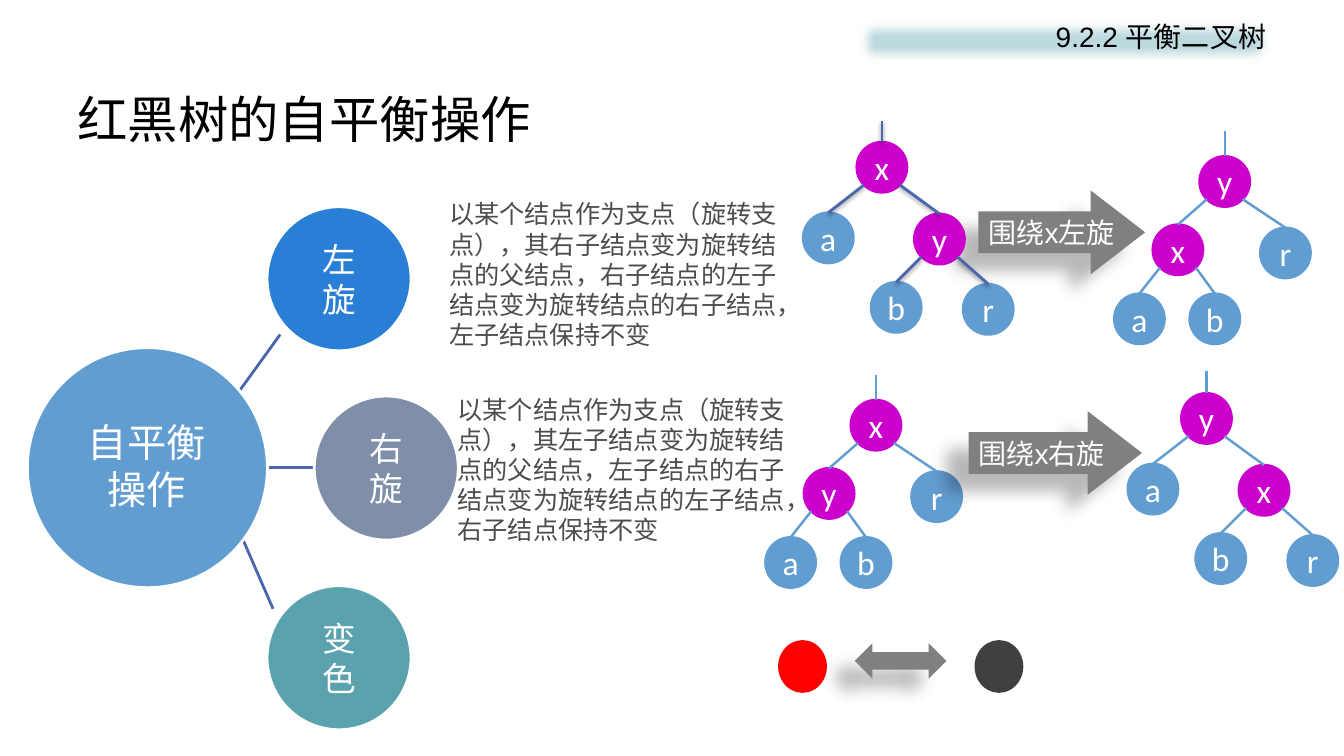
from lxml import etree
from pptx import Presentation
from pptx.dml.color import RGBColor
from pptx.enum import shapes, text
from pptx.util import Cm, Pt

A = "http://schemas.openxmlformats.org/drawingml/2006/main"
CJK = "Noto Sans CJK SC"
BLACK = RGBColor(0x00, 0x00, 0x00)
WHITE = RGBColor(0xFF, 0xFF, 0xFF)
GREY_TEXT = RGBColor(0x4D, 0x4D, 0x4D)
GREY = RGBColor(0x80, 0x80, 0x80)
DARK = RGBColor(0x40, 0x40, 0x40)
RED = RGBColor(0xFF, 0x00, 0x00)
PALE = RGBColor(0xBD, 0xDA, 0xDF)
NAVY = RGBColor(0x4A, 0x66, 0xAC)
SKY = RGBColor(0x62, 0x9D, 0xD1)
BLUE = RGBColor(0x29, 0x7F, 0xD5)
SLATE = RGBColor(0x7F, 0x8F, 0xA9)
TEAL = RGBColor(0x5A, 0xA2, 0xAE)
PURPLE = RGBColor(0xCC, 0x00, 0xCC)

SHADOW = ('<a:outerShdw blurRad="{}" dist="{}" dir="{}" rotWithShape="0">'
          '<a:srgbClr val="000000"><a:alpha val="{}"/></a:srgbClr></a:outerShdw>')
ARROW_SHADOW = SHADOW.format(150000, 250000, 8460000, 28000)
EDGE_SHADOW = SHADOW.format(40000, 20000, 5400000, 38000)
SOFT_EDGE = '<a:softEdge rad="112500"/>'

ALIGN = text.PP_ALIGN
ANCHOR = text.MSO_ANCHOR
SHAPE = shapes.MSO_SHAPE


def write(sp, words, size, color=WHITE, font="Arial", align=ALIGN.LEFT,
          anchor=ANCHOR.TOP, wrap=True, inset=None):
    tf = sp.text_frame
    tf.word_wrap = wrap
    tf.vertical_anchor = anchor
    if inset is not None:
        tf.margin_left = tf.margin_right = tf.margin_top = tf.margin_bottom = inset
    p = tf.paragraphs[0]
    p.alignment = align
    p.line_spacing = Pt(1.2 * size)
    r = p.add_run()
    r.text = words
    r.font.size = Pt(size)
    r.font.name = font
    r.font.color.rgb = color
    etree.SubElement(r.font._element, f"{{{A}}}ea", typeface=CJK)


def paint(sp, fill=None, line=None, width=2, effect=""):
    """Set fill, outline and effect; a connector takes no fill."""
    if fill is not None:
        sp.fill.solid()
        sp.fill.fore_color.rgb = fill
    if line is None:
        sp.line.fill.background()
    else:
        sp.line.color.rgb = line
        sp.line.width = Pt(width)
    sp._element.spPr.append(
        etree.fromstring(f'<a:effectLst xmlns:a="{A}">{effect}</a:effectLst>'))


prs = Presentation()
prs.slide_width, prs.slide_height = Cm(33.87), Cm(19.05)
s = prs.slides.add_slide(prs.slide_layouts[6])

title = s.shapes.add_textbox(Cm(1.7), Cm(2.03), Cm(30.48), Cm(1.91))
write(title, "红黑树的自平衡操作", 36, BLACK, CJK, anchor=ANCHOR.MIDDLE)

# Radial diagram
for x1, y1, x2, y2 in [(6.12, 13.59, 6.88, 15.34), (5.82, 11.79, 7.92, 11.79),
                       (5.94, 9.98, 7.06, 8.43)]:
    spoke = s.shapes.add_connector(shapes.MSO_CONNECTOR.STRAIGHT,
                                   Cm(x1), Cm(y1), Cm(x2), Cm(y2))
    paint(spoke, line=NAVY)

for label, x, y, color in [("左旋", 6.73, 5.21, BLUE), ("右旋", 7.92, 9.98, SLATE),
                           ("变色", 6.73, 14.76, TEAL)]:
    sp = s.shapes.add_shape(SHAPE.OVAL, Cm(x), Cm(y), Cm(3.63), Cm(3.63))
    paint(sp, color, WHITE)
    write(sp, label, 24, font="Calibri", align=ALIGN.CENTER,
          anchor=ANCHOR.MIDDLE, inset=Cm(0.56))

header = s.shapes.add_shape(SHAPE.RECTANGLE, Cm(21.49), Cm(0.36), Cm(10.67), Cm(1.37))
paint(header, PALE, effect=SOFT_EDGE)
write(header, "9.2.2 平衡二叉树", 20, BLACK, align=ALIGN.RIGHT)

hub = s.shapes.add_shape(SHAPE.OVAL, Cm(0.69), Cm(8.76), Cm(6.05), Cm(6.05))
paint(hub, SKY, WHITE)
hub_label = s.shapes.add_textbox(Cm(1.7), Cm(10.41), Cm(3.99), Cm(2.64))
write(hub_label, "自平衡操作", 28, font=CJK, align=ALIGN.CENTER)

# Trees: each node is (dx, dy, parent index) from the root's corner
NODE = 1.27
RIGHT_HEAVY = [(0, 0, None), (-1.35, 1.78, 0), (1.45, 1.81, 0),
               (0.36, 3.53, 2), (2.68, 3.58, 2)]
LEFT_HEAVY = [(0, 0, None), (-1.18, 1.72, 0), (1.53, 1.8, 0),
              (-2.15, 3.46, 1), (-0.25, 3.46, 1)]
LEFT_TURN = ("围绕x左旋", 24.66, 4.8, 4.2)
RIGHT_TURN = ("围绕x右旋", 24.41, 10.36, 4.37)

for arrow, names, layout, x0, y0, stem, color, width, effect in [
        (LEFT_TURN, "xaybr", RIGHT_HEAVY, 21.59, 3.58, 0.53, NAVY, 2, EDGE_SHADOW),
        (None, "yxrab", LEFT_HEAVY, 30.23, 3.94, 0.64, SKY, 1.75, ""),
        (None, "xyrab", LEFT_HEAVY, 21.44, 10.08, 0.64, SKY, 1.75, ""),
        (RIGHT_TURN, "yaxbr", RIGHT_HEAVY, 29.77, 9.91, 0.56, SKY, 1.75, "")]:
    if arrow:
        label, x, y, w = arrow
        sp = s.shapes.add_shape(SHAPE.RIGHT_ARROW, Cm(x), Cm(y), Cm(w), Cm(2.11))
        sp.adjustments[1] = 0.65
        paint(sp, GREY, effect=ARROW_SHADOW)
        write(sp, label, 20, anchor=ANCHOR.MIDDLE, wrap=False)
    for name, (dx, dy, parent) in zip(names, layout):
        x, y = x0 + dx, y0 + dy
        node = s.shapes.add_shape(SHAPE.OVAL, Cm(x), Cm(y), Cm(NODE), Cm(NODE))
        node_color = PURPLE if name in "xy" else SKY
        paint(node, node_color, node_color, 1.75)
        write(node, name, 24, font="Calibri", align=ALIGN.CENTER,
              anchor=ANCHOR.MIDDLE, wrap=False)
        if parent is None:
            start_x, start_y = x + NODE / 2, y - stem
        else:
            px, py, _ = layout[parent]
            side = 0.45 if dx > px else -0.45
            start_x, start_y = x0 + px + NODE / 2 + side, y0 + py + 1.08
        edge = s.shapes.add_connector(shapes.MSO_CONNECTOR.STRAIGHT,
                                      Cm(start_x), Cm(start_y),
                                      Cm(x + NODE / 2), Cm(y))
        edge.end_connect(node, 0)
        paint(edge, line=color, width=width, effect=effect)

# Recolouring
for x, color in [(24.64, DARK), (19.69, RED)]:
    sp = s.shapes.add_shape(SHAPE.OVAL, Cm(x), Cm(16.21), Cm(1.07), Cm(1.17))
    paint(sp, color, color, 4.5)
swap = s.shapes.add_shape(SHAPE.LEFT_RIGHT_ARROW, Cm(21.54), Cm(16.21), Cm(2.31), Cm(0.89))
paint(swap, GREY, effect=ARROW_SHADOW)

for x, y, words in [
        (11.07, 4.88, "以某个结点作为支点（旋转支点），其右子结点变为旋转结点的父结点，"
                      "右子结点的左子结点变为旋转结点的右子结点，左子结点保持不变"),
        (11.28, 9.8, "以某个结点作为支点（旋转支点），其左子结点变为旋转结点的父结点，"
                     "左子结点的右子结点变为旋转结点的左子结点，右子结点保持不变")]:
    note = s.shapes.add_textbox(Cm(x), Cm(y), Cm(9.19), Cm(4.11))
    write(note, words, 18, GREY_TEXT)

prs.save("out.pptx")
